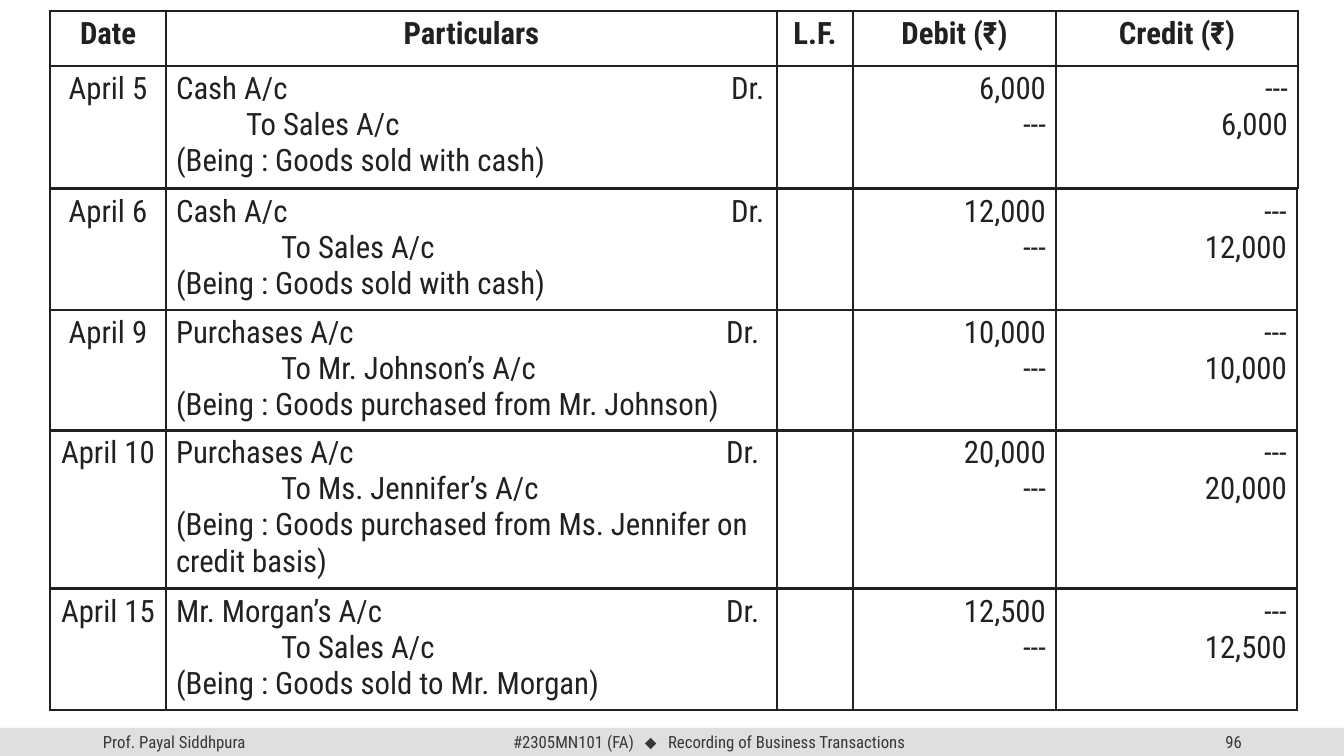
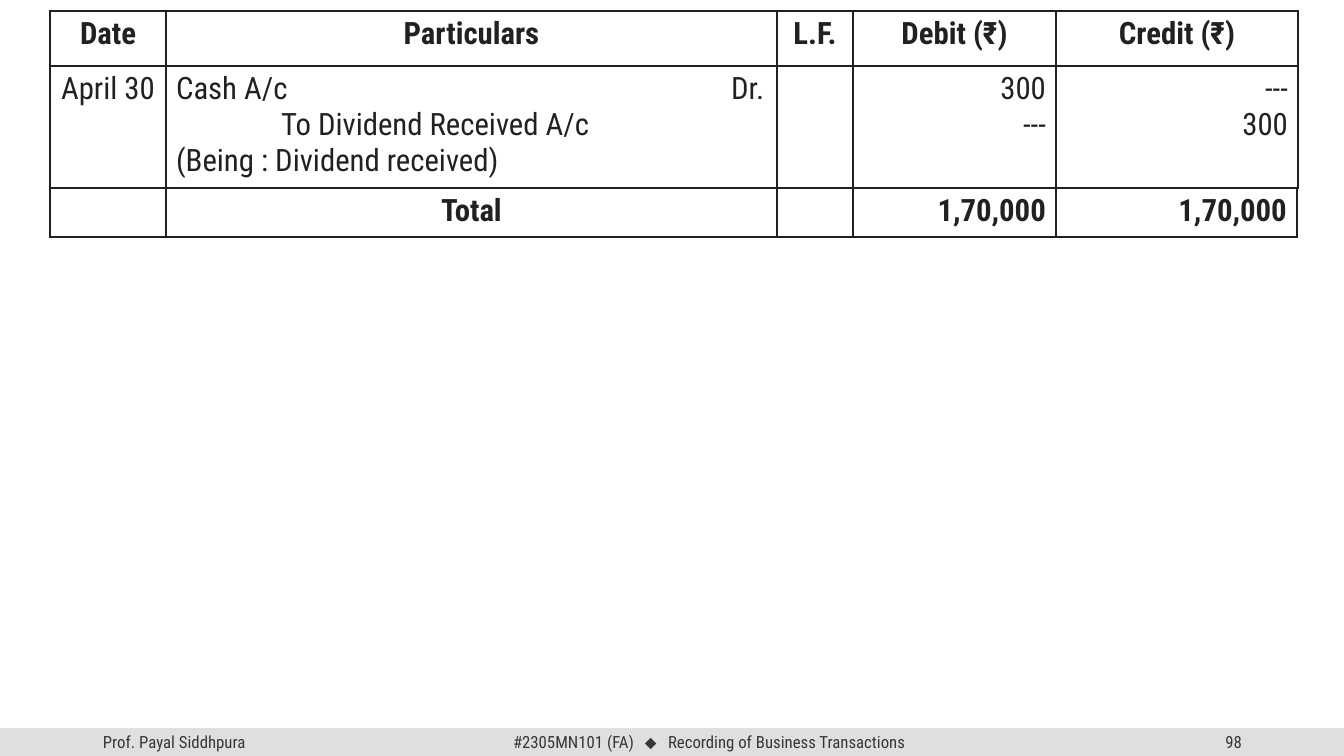
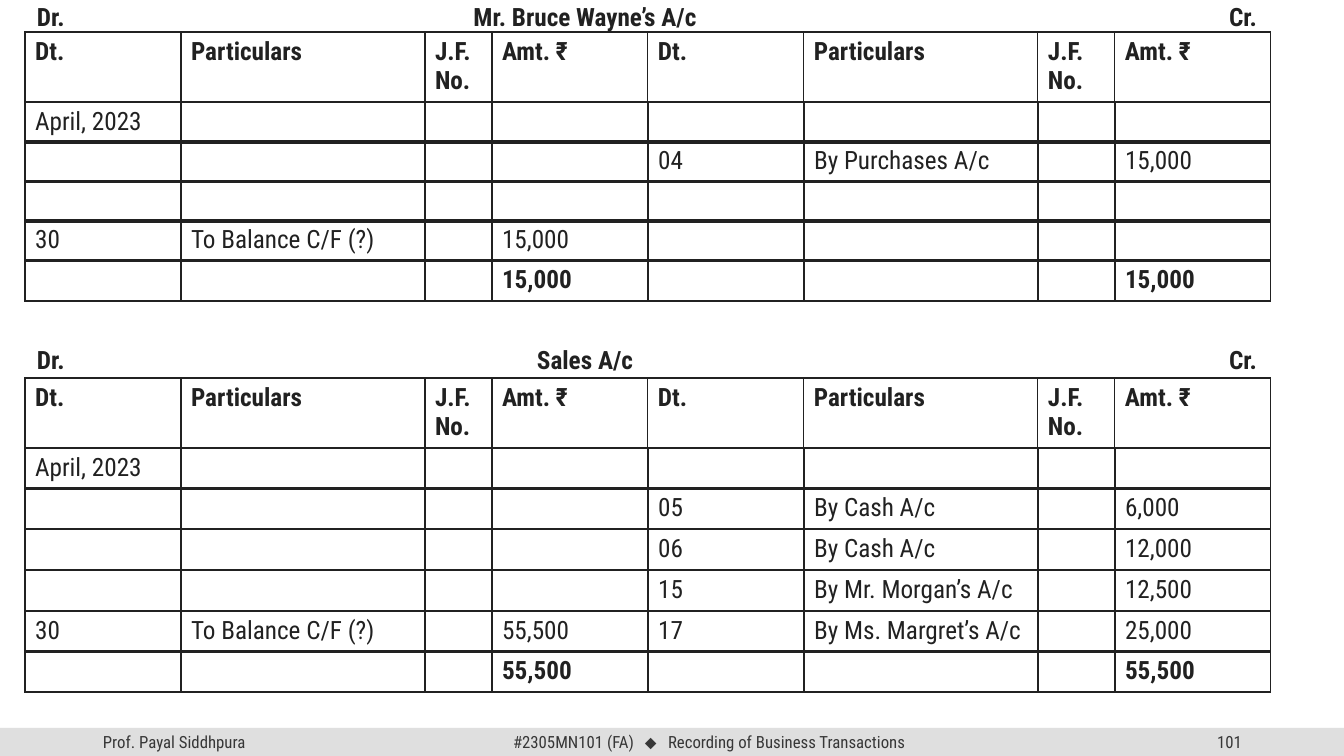
from itertools import cycle

from lxml import etree
from pptx import Presentation
from pptx.dml.color import RGBColor
from pptx.enum.shapes import MSO_SHAPE
from pptx.enum.text import MSO_ANCHOR, PP_ALIGN
from pptx.oxml.ns import qn
from pptx.util import Emu, Pt

RECT = MSO_SHAPE.RECTANGLE
MIDDLE, TOP = MSO_ANCHOR.MIDDLE, MSO_ANCHOR.TOP
LEFT, MID, RIGHT = PP_ALIGN.LEFT, PP_ALIGN.CENTER, PP_ALIGN.RIGHT

WIDE, HIGH = 1344, 756
SCALE = 12192000 / WIDE
FONT, SIGN = "Roboto Condensed", "Arial"
INK, GREY, BAND = "212121", "373737", "DFDFDF"


def px(size):
    """Turn px into EMU."""
    return Emu(round(size * SCALE))


def tint(code):
    """Turn a hex string into a colour."""
    return RGBColor.from_string(code)


def put(frame, text, size=18, bold=False, align=LEFT, color=INK, second=0, tabs=()):
    """Write lines of text; a bar switches between the two fonts."""
    for row, line in enumerate(text.split("\n")):
        para = frame.add_paragraph() if row else frame.paragraphs[0]
        para.alignment = align
        props = para._p.get_or_add_pPr()
        if row == 1 and second:
            props.set("marL", str(px(second)))
            props.set("indent", "0")
        if "\t" in line:
            stops = etree.SubElement(props, qn("a:tabLst"))
            for place, kind in tabs:
                etree.SubElement(stops, qn("a:tab"), pos=str(px(place)), algn=kind)
        for part, face in zip(line.split("|"), cycle((FONT, SIGN))):
            run = para.add_run()
            run.text = part
            font = run.font
            font.name, font.size, font.bold = face, Pt(size), bold
            font.color.rgb = tint(color)


class Deck:
    """Holds the deck style and the current slide."""

    def __init__(self):
        """Start an empty deck."""
        self.deck = Presentation()
        self.deck.slide_width, self.deck.slide_height = px(WIDE), px(HIGH)

    def page(self, number):
        """Add a slide with its footer band."""
        self.slide = self.deck.slides.add_slide(self.deck.slide_layouts[6])
        top, high = 728, 28
        band = self.slide.shapes.add_shape(RECT, 0, px(top), px(WIDE), px(high))
        band.shadow.inherit = False
        band.fill.solid()
        band.fill.fore_color.rgb = tint(BAND)
        band.line.fill.background()
        style = dict(size=12, color=GREY, anchor=MIDDLE)
        self.text("Prof. Payal Siddhpura", 93, top, 302, high, **style)
        self.text(str(number), 950, top, 302, high, align=RIGHT, **style)
        self.text("#2305MN101 (FA)\t|⬥|\tRecording of Business Transactions",
                  447, top, 528, high, inset=66,
                  tabs=((132, "l"), (155, "l")), **style)

    def text(self, text, x, y, wide, high, inset=10, anchor=TOP, **style):
        """Add a text box."""
        box = self.slide.shapes.add_textbox(px(x), px(y), px(wide), px(high))
        frame = box.text_frame
        frame.word_wrap = True
        frame.margin_left = px(inset)
        frame.vertical_anchor = anchor
        put(frame, text, **style)

    def table(self, x, y, cols, rows):
        """Add a ruled table from (height, cells) rows of (text, style) cells."""
        high = sum(row[0] for row in rows)
        table = self.slide.shapes.add_table(
            len(rows), len(cols), px(x), px(y), px(sum(cols)), px(high)).table
        table.first_row = table.horz_banding = False
        for col, wide in zip(table.columns, cols):
            col.width = px(wide)
        for r, (tall, cells) in enumerate(rows):
            table.rows[r].height = px(tall)
            for c, (text, style) in enumerate(cells):
                cell = table.cell(r, c)
                self.rule(cell)
                cell.fill.background()
                if text:
                    put(cell.text_frame, text, **style)

    def rule(self, cell):
        """Draw the four borders of a cell."""
        props = cell._tc.get_or_add_tcPr()
        for side in ("lnL", "lnR", "lnT", "lnB"):
            line = etree.SubElement(props, qn("a:" + side), w=str(Pt(1)))
            fill = etree.SubElement(line, qn("a:solidFill"))
            etree.SubElement(fill, qn("a:srgbClr"), val=INK)

    def ledger(self, title, y, top, step, left, right):
        """Add a two-sided account whose rows start at top."""
        lcols, rcols = (156, 244, 67, 156), (156, 234, 77, 156)
        self.text(f"Dr.\t{title}\tCr.", 25, y, 1246, 40, inset=12, bold=True,
                  tabs=((548, "ctr"), (1220, "r")))
        names = ("Dt.", "Particulars", "J.F.\nNo.", "Amt. ₹") * 2
        head = [(name, dict(bold=True)) for name in names]
        self.table(25, top - 70, lcols + rcols, [(70, head)])
        for x, cols, rows in ((25, lcols, left), (648, rcols, right)):
            for i, (date, name, sum_) in enumerate(rows):
                bold = i == len(rows) - 1
                cells = [(t, dict(bold=bold)) for t in (date, name, "", sum_)]
                self.table(x, top + int(i * step), cols, [(41, cells)])


def entry(date, debit, credit, note, amount, pad=105, tab=550):
    """Give the cells of one journal entry."""
    end = dict(size=22, align=RIGHT)
    return [(date, dict(size=22, align=MID)),
            (f"{debit}\tDr.\nTo {credit}\n(Being : {note})",
             dict(size=22, second=pad, tabs=((tab, "l"),))),
            ("", {}),
            (f"{amount}\n---", end),
            (f"---\n{amount}", end)]


def main():
    """Build and save the deck."""
    deck = Deck()
    cols, low = (116, 611, 76, 203, 242), (116, 611, 76, 203, 241)
    names = ("Date", "Particulars", "L.F.", "Debit (₹)", "Credit (₹)")
    head = (55, [(name, dict(size=22, bold=True, align=MID)) for name in names])

    deck.page(96)
    deck.table(50, 11, cols, [head, (122, entry(
        "April 5", "Cash A/c", "Sales A/c", "Goods sold with cash", "6,000", 70, 555))])
    for y, high, cells in (
        (189, 119, entry("April 6", "Cash A/c", "Sales A/c",
                         "Goods sold with cash", "12,000", tab=555)),
        (310, 119, entry("April 9", "Purchases A/c", "Mr. Johnson’s A/c",
                         "Goods purchased from Mr. Johnson", "10,000")),
        (430, 155, entry("April 10", "Purchases A/c", "Ms. Jennifer’s A/c",
                         "Goods purchased from Ms. Jennifer on credit basis", "20,000")),
        (589, 119, entry("April 15", "Mr. Morgan’s A/c", "Sales A/c",
                         "Goods sold to Mr. Morgan", "12,500")),
    ):
        deck.table(50, y, low, [(high, cells)])

    deck.page(98)
    deck.table(50, 11, cols, [head, (122, entry(
        "April 30", "Cash A/c", "Dividend Received A/c", "Dividend received",
        "300", tab=555))])
    total = [(text, dict(size=22, bold=True, align=align)) for text, align in (
        ("", MID), ("Total", MID), ("", MID), ("1,70,000", RIGHT), ("1,70,000", RIGHT))]
    deck.table(50, 188, low, [(49, total)])

    deck.page(101)
    none = ("", "", "")
    start = ("April, 2023", "", "")
    deck.ledger(
        "Mr. Bruce Wayne’s A/c", -4, 102, 39.5,
        [start, none, none, ("30", "To Balance C/F (?)", "15,000"), ("", "", "15,000")],
        [none, ("04", "By Purchases A/c", "15,000"), none, none, ("", "", "15,000")])
    deck.ledger(
        "Sales A/c", 339, 448, 40.75,
        [start, none, none, none, ("30", "To Balance C/F (?)", "55,500"),
         ("", "", "55,500")],
        [none, ("05", "By Cash A/c", "6,000"), ("06", "By Cash A/c", "12,000"),
         ("15", "By Mr. Morgan’s A/c", "12,500"),
         ("17", "By Ms. Margret’s A/c", "25,000"), ("", "", "55,500")])
    deck.deck.save("out.pptx")


if __name__ == "__main__":
    main()
